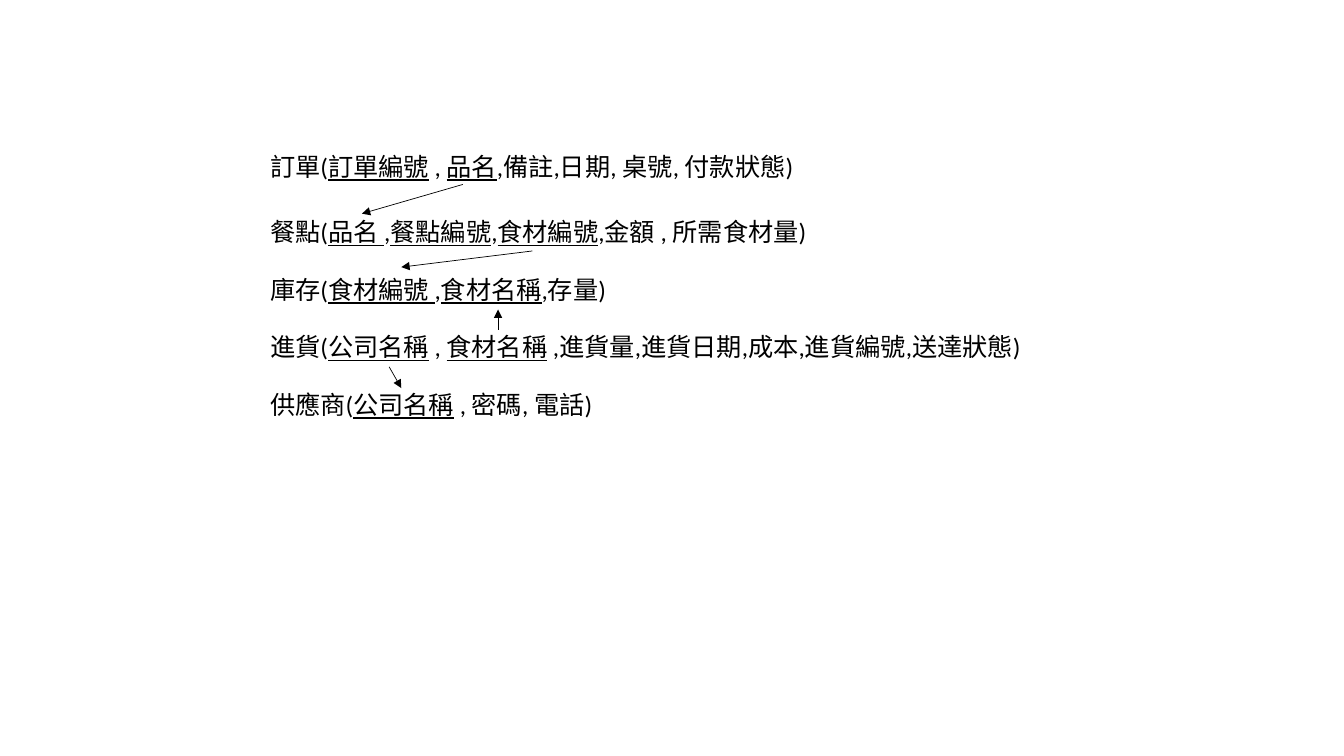
import pptx
import pptx.dml.color
import pptx.enum.shapes
import pptx.enum.text
import pptx.oxml.ns
import pptx.util
import lxml.etree

Inches = pptx.util.Inches
BLACK = pptx.dml.color.RGBColor(0x00, 0x00, 0x00)
FONT_FORMAT = {"name": "Calibri", "size": pptx.util.Pt(18)}

LEFT = 2.58
ROW_HEIGHT = 0.4
FIRST_TOP = 1.45
SECOND_TOP = 2.1
ROW_PITCH = 0.57

# Key attributes stand between underscores and are underlined.
RELATIONS = [
    ("訂單(_訂單編號_ , _品名_,備註,日期, 桌號, 付款狀態)", 5.91),
    ("餐點(_品名 _,_餐點編號_,_食材編號_,金額 , 所需食材量)", 5.91),
    ("庫存(_食材編號 _,_食材名稱_,存量)", 5.12),
    ("進貨(_公司名稱_ , _食材名稱_ ,進貨量,進貨日期,成本,進貨編號,送達狀態)", 9.46),
    ("供應商(_公司名稱_ , 密碼, 電話)", 4.49),
]

# Each foreign key points at the key it refers to: from x, y to x, y.
REFERENCES = [
    (4.59, 1.83, 3.59, 2.12),
    (5.28, 2.49, 3.98, 2.65),
    (4.94, 3.27, 4.94, 3.07),
    (3.86, 3.64, 3.98, 3.85),
]

presentation = pptx.Presentation()
presentation.slide_width = Inches(13.33)
presentation.slide_height = Inches(7.5)
slide = presentation.slides.add_slide(presentation.slide_layouts[6])

for row, (relation, width) in enumerate(RELATIONS):
    top = SECOND_TOP + (row - 1) * ROW_PITCH if row else FIRST_TOP
    text_box = slide.shapes.add_textbox(
        Inches(LEFT), Inches(top), Inches(width), Inches(ROW_HEIGHT))
    text_frame = text_box.text_frame
    text_frame.word_wrap = True
    text_frame.auto_size = pptx.enum.text.MSO_AUTO_SIZE.SHAPE_TO_FIT_TEXT
    paragraph = text_frame.paragraphs[0]
    for position, part in enumerate(relation.split("_")):
        run = paragraph.add_run()
        run.text = part
        for attribute, value in FONT_FORMAT.items():
            setattr(run.font, attribute, value)
        run.font.color.rgb = BLACK
        run.font.underline = position % 2 == 1

for reference in REFERENCES:
    arrow = slide.shapes.add_connector(
        pptx.enum.shapes.MSO_CONNECTOR.STRAIGHT, *map(Inches, reference))
    arrow.line.color.rgb = BLACK
    arrow.line.width = pptx.util.Pt(0.5)
    lxml.etree.SubElement(
        arrow.line._get_or_add_ln(), pptx.oxml.ns.qn("a:tailEnd"), type="triangle")
    lxml.etree.SubElement(
        arrow._element.spPr, pptx.oxml.ns.qn("a:effectLst"))

presentation.save("out.pptx")
